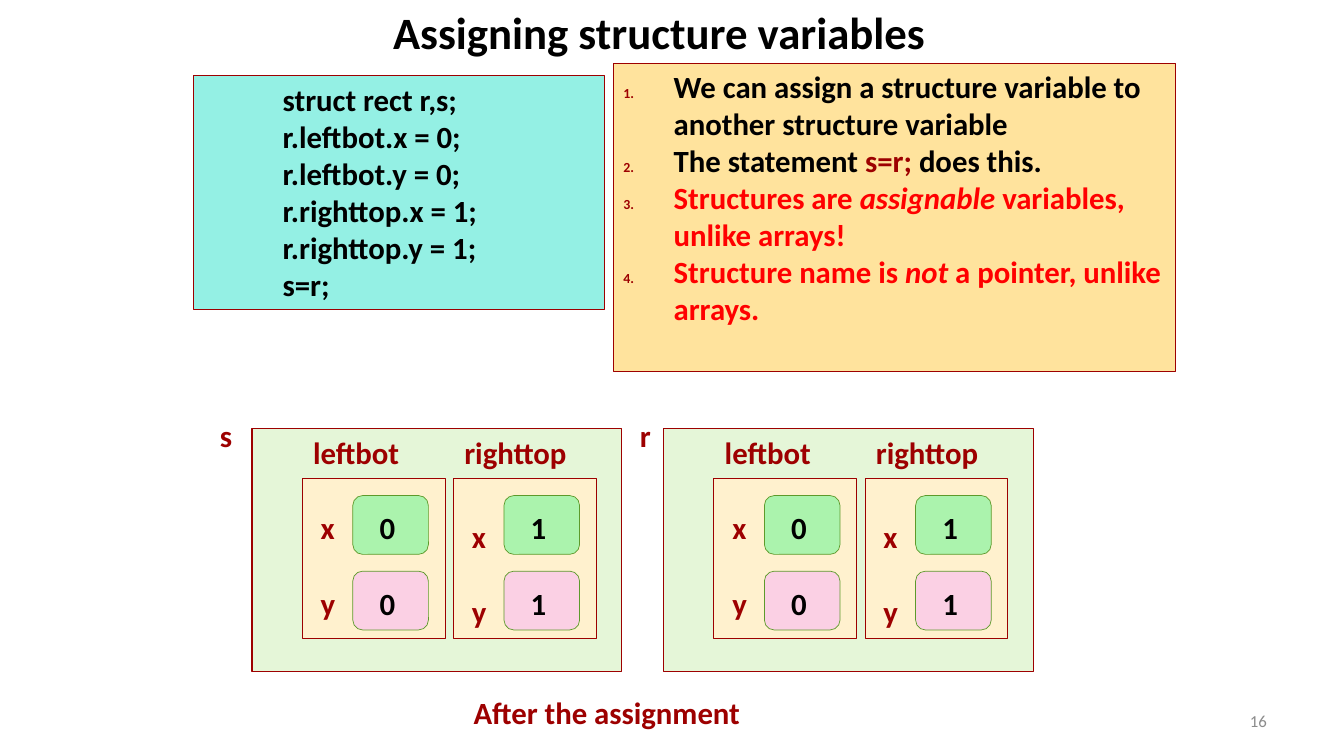
from dataclasses import dataclass

from lxml.etree import SubElement
from pptx import Presentation
from pptx.dml.color import RGBColor as RGB
from pptx.enum.shapes import MSO_SHAPE as SHAPE
from pptx.enum.text import MSO_ANCHOR as ANCHOR, MSO_AUTO_SIZE as FIT, PP_ALIGN as ALIGN
from pptx.oxml.ns import qn
from pptx.util import Inches, Pt


@dataclass(frozen=True)
class Theme:
    """Colours, type sizes and the font of the slide."""
    font: str = "Calibri"
    title: int = 32
    text: int = 22
    small: int = 12
    black: str = "000000"
    maroon: str = "9D0000"
    red: str = "FF0000"
    grey: str = "8C8C8C"
    code: str = "94F0E4"
    notes: str = "FFE39D"
    struct: str = "E5F6D8"
    member: str = "FFF1CE"
    x_cell: str = "ABF3AD"
    y_cell: str = "FBD0E4"
    cell_line: str = "5D9A2B"


T = Theme()
COLS, ROWS, UNIT = 160, 90, 1 / 12

CODE = ["struct rect r,s;", "r.leftbot.x = 0;", "r.leftbot.y = 0;",
        "r.righttop.x = 1;", "r.righttop.y = 1;", "s=r;"]
NOTES = [
    [("We can assign a structure variable to another structure variable", T.black, False)],
    [("The statement ", T.black, False), ("s=r;", T.maroon, False), (" does this.", T.black, False)],
    [("Structures are ", T.red, False), ("assignable", T.red, True),
     (" variables, unlike arrays!", T.red, False)],
    [("Structure name is ", T.red, False), ("not", T.red, True),
     (" a pointer, unlike arrays.", T.red, False)],
]
MEMBERS = [("leftbot", 12.84, "0", 3), ("righttop", 14.76, "1", 4)]
FIELDS = [("x", T.x_cell, 0), ("y", T.y_cell, 9)]


def grid(*cells):
    """Turn grid columns and rows into lengths."""
    return [Inches(c * UNIT) for c in cells]


def place(sp, box):
    """Move a shape to a grid box."""
    for name, value in zip(("left", "top", "width", "height"), grid(*box)):
        setattr(sp, name, value)


def paint(sp, fill, line, width=0.75):
    """Give a shape its fill and outline."""
    sp.fill.solid()
    sp.fill.fore_color.rgb = RGB.from_string(fill)
    sp.line.color.rgb = RGB.from_string(line)
    sp.line.width = Pt(width)


def add_run(p, text, color, size=T.text, bold=True, italic=False):
    """Append a formatted run to a paragraph."""
    r = p.add_run()
    r.text = text
    fmt = {"name": T.font, "size": Pt(size), "bold": bold, "italic": italic}
    for name, value in fmt.items():
        setattr(r.font, name, value)
    r.font.color.rgb = RGB.from_string(color)


def set_frame(tf, **extra):
    """Set insets, wrapping and anchor of a text frame."""
    fmt = {"margin_left": Inches(0.1), "margin_right": Inches(0.1),
           "margin_top": Inches(0.05), "margin_bottom": Inches(0.05),
           "word_wrap": True, "auto_size": FIT.NONE, "vertical_anchor": ANCHOR.TOP}
    for name, value in {**fmt, **extra}.items():
        setattr(tf, name, value)


def paragraphs(tf, count):
    """Return the given number of tight left-aligned paragraphs."""
    items = [tf.paragraphs[0]] + [tf.add_paragraph() for _ in range(count - 1)]
    for p in items:
        p.alignment, p.space_before, p.space_after = ALIGN.LEFT, Pt(0), Pt(0)
    return items


def add_box(shapes, kind, box, fill, line, width=0.75):
    """Add a filled preset shape."""
    sp = shapes.add_shape(kind, *grid(*box))
    sp.shadow.inherit = False
    paint(sp, fill, line, width)
    return sp


def add_label(shapes, text, x, y, w, color=T.maroon):
    """Add a one-line label that does not wrap."""
    tf = shapes.add_textbox(*grid(x, y, w, 5.6)).text_frame
    set_frame(tf, word_wrap=False, auto_size=FIT.SHAPE_TO_FIT_TEXT)
    add_run(tf.paragraphs[0], text, color)


def add_title(sp, box):
    """Fill the title placeholder."""
    place(sp, box)
    set_frame(sp.text_frame, vertical_anchor=ANCHOR.MIDDLE)
    p = sp.text_frame.paragraphs[0]
    p.alignment = ALIGN.CENTER
    add_run(p, "Assigning structure variables", T.black, T.title)


def add_notes(sp, box):
    """Fill the body placeholder with the numbered list."""
    place(sp, box)
    paint(sp, T.notes, T.maroon)
    set_frame(sp.text_frame)
    for p, runs in zip(paragraphs(sp.text_frame, len(NOTES)), NOTES):
        pPr = p._p.get_or_add_pPr()
        pPr.set("marL", str(Inches(0.5)))
        pPr.set("indent", str(Inches(-0.5)))
        SubElement(SubElement(pPr, qn("a:buClr")), qn("a:srgbClr"), val=T.maroon)
        SubElement(pPr, qn("a:buSzPct"), val="45000")
        SubElement(pPr, qn("a:buFont"), typeface=T.font)
        SubElement(pPr, qn("a:buAutoNum"), type="arabicPeriod")
        for text, color, italic in runs:
            add_run(p, text, color, italic=italic)


def add_code(shapes, box):
    """Add the code panel with indented lines."""
    sp = add_box(shapes, SHAPE.RECTANGLE, box, T.code, T.maroon)
    set_frame(sp.text_frame)
    for p, line in zip(paragraphs(sp.text_frame, len(CODE)), CODE):
        p._p.get_or_add_pPr().set("marL", str(Inches(0.79)))
        add_run(p, line, T.black)


def add_member(shapes, x, y, name, name_width, value, label_drop):
    """Add one member with its x and y cells."""
    add_box(shapes, SHAPE.RECTANGLE, (x, y, 17, 19), T.member, T.maroon)
    add_label(shapes, name, x + 0.1, y - 6, name_width)
    for field, fill, drop in FIELDS:
        add_box(shapes, SHAPE.ROUNDED_RECTANGLE, (x + 6, y + 2 + drop, 9, 7),
                fill, T.cell_line, 0.5)
        add_label(shapes, field, x + 1, y + label_drop + drop, 4.1)
        add_label(shapes, value, x + 8, y + 3 + drop, 4.2, T.black)


def add_struct(shapes, x, y, name, name_gap):
    """Add a structure variable with its name and two members."""
    add_label(shapes, name, x - name_gap, y - 2, 3.8)
    add_box(shapes, SHAPE.RECTANGLE, (x, y, 44, 29), T.struct, T.maroon)
    for i, member in enumerate(MEMBERS):
        add_member(shapes, x + 6 + 18 * i, y + 6, *member)


def add_number(shapes, box):
    """Add the slide number."""
    tf = shapes.add_textbox(*grid(*box)).text_frame
    set_frame(tf, vertical_anchor=ANCHOR.MIDDLE)
    tf.paragraphs[0].alignment = ALIGN.RIGHT
    add_run(tf.paragraphs[0], "16", T.grey, T.small, bold=False)


def main():
    """Build the slide and save it."""
    prs = Presentation()
    prs.slide_width, prs.slide_height = grid(COLS, ROWS)
    s = prs.slides.add_slide(prs.slide_layouts[1])
    add_title(s.shapes.title, (17, 0, 123, 7.5))
    add_notes(s.placeholders[1], (73, 7.5, 67, 36.7))
    add_code(s.shapes, (23, 9, 49, 27.8))
    for x, name, name_gap in ((30, "s", 5), (79, "r", 4)):
        add_struct(s.shapes.add_group_shape().shapes, x, 51, name, name_gap)
    add_label(s.shapes, "After the assignment", 55.2, 82, 34.6)
    add_number(s.shapes, (114.7, 83.4, 37.3, 4.8))
    prs.save("out.pptx")


if __name__ == "__main__":
    main()
